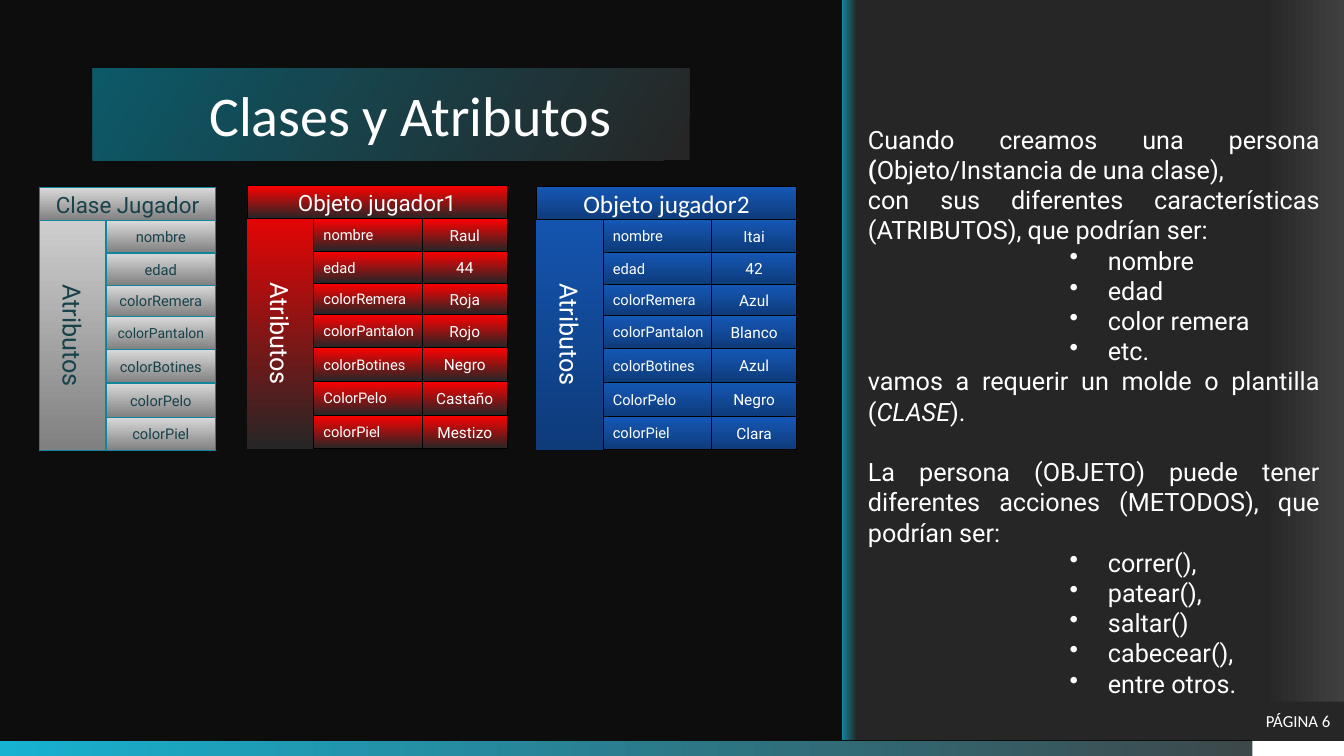
import copy
import itertools

import pptx
import pptx.dml.color
import pptx.enum.shapes
import pptx.enum.text
import pptx.oxml
import pptx.oxml.ns
import pptx.util
from pptx.util import Inches

RGBColor = pptx.dml.color.RGBColor
ALIGN = pptx.enum.text.PP_ALIGN
MIDDLE = pptx.enum.text.MSO_ANCHOR.MIDDLE

WHITE = RGBColor(0xFF, 0xFF, 0xFF)
BLACK = RGBColor(0, 0, 0)
BACKGROUND = RGBColor(0x0D, 0x0D, 0x0D)
DARK = RGBColor(0x26, 0x26, 0x26)
GRAY = RGBColor(0x40, 0x40, 0x40)
CYAN = RGBColor(0x17, 0xB2, 0xD1)
TEAL = RGBColor(0x11, 0x85, 0x9D)
DEEP_TEAL = RGBColor(0x0C, 0x59, 0x68)
INK = RGBColor(0x18, 0x42, 0x4A)
SILVER = RGBColor(0xD9, 0xD9, 0xD9)
STEEL = RGBColor(0x80, 0x80, 0x80)
RED = RGBColor(0xFF, 0, 0)
BLUE = RGBColor(0x15, 0x58, 0xB7)
NAVY = RGBColor(0x0E, 0x3B, 0x7A)

SILVER_FILL = [(0, SILVER), (1, STEEL)]
RED_FILL = [(0, RED), (1, DARK)]
BLUE_FILL = [(0, BLUE), (1, NAVY)]

HEADER_HEIGHT = 0.33
ROW_HEIGHTS = [0.32, 0.32, 0.31, 0.33, 0.33, 0.34, 0.33]
LABEL_WIDTH = 0.66
CARD_HEIGHT = HEADER_HEIGHT + sum(ROW_HEIGHTS)

CLASS_ATTRIBUTES = ["nombre", "edad", "colorRemera", "colorPantalon",
                    "colorBotines", "colorPelo", "colorPiel"]
OBJECT_ATTRIBUTES = ["nombre", "edad", "colorRemera", "colorPantalon",
                     "colorBotines", "ColorPelo", "colorPiel"]
PLAYER1 = ["Raul", "44", "Roja", "Rojo", "Negro", "Castaño", "Mestizo"]
PLAYER2 = ["Itai", "42", "Azul", "Blanco", "Azul", "Negro", "Clara"]


class SlideBuilder:
    def __init__(self, slide, font="Roboto"):
        self.slide = slide
        self.shapes = slide.shapes
        self.font = font

    def style(self, paragraph, size, color, align, font=None):
        paragraph.alignment = align
        paragraph.font.name = font or self.font
        paragraph.font.size = pptx.util.Pt(size)
        paragraph.font.color.rgb = color

    def gradient(self, shape, stops, angle):
        """Fill with (position, color) stops along a clockwise angle."""
        shape.fill.gradient()
        shape.fill.gradient_angle = (360 - angle) % 360
        stop_list = shape._element.spPr.find(".//" + pptx.oxml.ns.qn("a:gsLst"))
        for _ in stops[2:]:
            stop_list.append(copy.deepcopy(stop_list[0]))
        for stop, (position, color) in zip(shape.fill.gradient_stops, stops):
            stop.position = position
            stop.color.rgb = color

    def box(self, left, top, width, height, fill, angle=90, line=None):
        """Add a rectangle; fill is a color or a list of gradient stops."""
        shape = self.shapes.add_shape(
            pptx.enum.shapes.MSO_SHAPE.RECTANGLE,
            Inches(left), Inches(top), Inches(width), Inches(height))
        shape.shadow.inherit = False
        if isinstance(fill, list):
            self.gradient(shape, fill, angle)
        else:
            shape.fill.solid()
            shape.fill.fore_color.rgb = fill
        if line:
            shape.line.color.rgb = line[0]
            shape.line.width = pptx.util.Pt(line[1])
        else:
            shape.line.fill.background()
        return shape

    def label(self, shape, text, size, color, align=ALIGN.CENTER, font=None):
        frame = shape.text_frame
        frame.word_wrap = True
        frame.vertical_anchor = MIDDLE
        frame.text = text
        self.style(frame.paragraphs[0], size, color, align, font)

    def title(self, text):
        shape = self.slide.shapes.title
        shape.left, shape.top = Inches(0.92), Inches(0.68)
        shape.width, shape.height = Inches(5.92), Inches(0.91)
        self.gradient(shape, [(0.01, DARK), (1, DEEP_TEAL)], 210)
        self.label(shape, text, 40, WHITE, font="Calibri")
        frame = shape.text_frame
        frame.auto_size = pptx.enum.text.MSO_AUTO_SIZE.NONE
        frame.margin_left, frame.margin_right = Inches(0.48), Inches(0.1)
        frame.margin_top = frame.margin_bottom = Inches(0.12)

    def card(self, left, top, width, heading, fill, color, line, attributes,
             values=(), heading_size=16, heading_font=None):
        """Add a group with a heading, a vertical label and attribute rows."""
        self.shapes = self.slide.shapes.add_group_shape().shapes
        is_class = not values
        self.box(left, top, width, CARD_HEIGHT, fill,
                 line=line if is_class else None)
        header = self.box(left, top, width, HEADER_HEIGHT, fill, line=line)
        self.label(header, heading, heading_size, color, font=heading_font)

        name_left = left + LABEL_WIDTH
        value_left = left + 1.74
        name_width = 1.09 if is_class else 1.11
        row_tops = list(itertools.accumulate(
            ROW_HEIGHTS, initial=top + HEADER_HEIGHT))
        for name, row_top, height in zip(attributes, row_tops, ROW_HEIGHTS):
            cell = self.box(name_left, row_top, name_width, height, fill,
                            line=line)
            size = 10 if is_class and name == "colorPantalon" else 10.5
            self.label(cell, name, size, color,
                       ALIGN.CENTER if is_class else ALIGN.LEFT)
        for value, row_top, height in zip(values, row_tops, ROW_HEIGHTS):
            cell = self.box(value_left, row_top, 0.84, height, fill, line=line)
            self.label(cell, value, 11, color)

        side = self.shapes.add_textbox(
            Inches(left - 0.74), Inches(top + 1.27), Inches(2.14), Inches(0.4))
        side.rotation = 90
        self.label(side, "Atributos", 18, color)
        self.shapes = self.slide.shapes

    def explanation(self, blocks):
        """Add the side text; each block is (kind, runs)."""
        frame = self.shapes.add_textbox(
            Inches(8.51), Inches(1.18), Inches(4.68), Inches(5.86)).text_frame
        frame.word_wrap = True
        for index, (kind, runs) in enumerate(blocks):
            paragraph = frame.add_paragraph() if index else frame.paragraphs[0]
            if kind == "bullet":
                paragraph.level = 4
                properties = paragraph._p.get_or_add_pPr()
                properties.set("marL", str(Inches(2.38)))
                properties.set("indent", str(Inches(-0.38)))
                pptx.oxml.ns.qn("a:buChar")
                bullet = properties.makeelement(
                    pptx.oxml.ns.qn("a:buChar"), {"char": "•"})
                properties.append(bullet)
            if kind == "section":
                paragraph.space_before = pptx.util.Pt(21.5)
            self.style(paragraph, 18, WHITE,
                       ALIGN.LEFT if kind == "bullet" else ALIGN.JUSTIFY)
            for text, emphasis in runs:
                run = paragraph.add_run()
                run.text = text
                if emphasis:
                    setattr(run.font, emphasis, True)


def bullets(*items):
    return [("bullet", [(item, None)]) for item in items]


def main():
    presentation = pptx.Presentation()
    presentation.slide_width = Inches(13.33)
    presentation.slide_height = Inches(7.5)
    slide = presentation.slides.add_slide(presentation.slide_layouts[5])
    slide.background.fill.solid()
    slide.background.fill.fore_color.rgb = BACKGROUND

    builder = SlideBuilder(slide)
    builder.box(0, 7.35, 13.33, 0.15, [(0, CYAN), (1, GRAY)], angle=0)
    builder.box(12.42, 7.35, 0.91, 0.15, WHITE)
    builder.box(8.35, 0, 4.98, 7.34,
                [(0, GRAY), (0.16, DARK), (0.97, DARK), (1, TEAL)], angle=180)
    builder.title("Clases y Atributos")
    page = builder.box(12.42, 6.96, 0.91, 0.39, DARK)
    builder.label(page, "PÁGINA 6", 12, WHITE, font="Calibri")

    builder.explanation([
        ("text", [("Cuando creamos una persona ", None), ("(", "bold"),
                  ("Objeto/Instancia de una clase),", None)]),
        ("text", [("con sus diferentes características (ATRIBUTOS), "
                   "que podrían ser:", None)]),
        *bullets("nombre", "edad", "color remera", "etc."),
        ("text", [("vamos a requerir un molde o plantilla (", None),
                  ("CLASE", "italic"), (").", None)]),
        ("section", [("La persona (OBJETO) puede tener diferentes acciones "
                      "(METODOS), que podrían ser:", None)]),
        *bullets("correr(),", "patear(),", "saltar()", "cabecear(),",
                 "entre otros."),
    ])

    builder.card(0.39, 1.86, 1.75, "Clase Jugador", SILVER_FILL, INK,
                 (TEAL, 1), CLASS_ATTRIBUTES)
    builder.card(2.45, 1.84, 2.58, "Objeto jugador1", RED_FILL, WHITE,
                 (BLACK, 0.5), OBJECT_ATTRIBUTES, PLAYER1)
    builder.card(5.32, 1.85, 2.58, "Objeto jugador2", BLUE_FILL, WHITE,
                 (BLACK, 0.5), OBJECT_ATTRIBUTES, PLAYER2,
                 heading_size=18, heading_font="Calibri")
    presentation.save("out.pptx")


if __name__ == "__main__":
    main()
